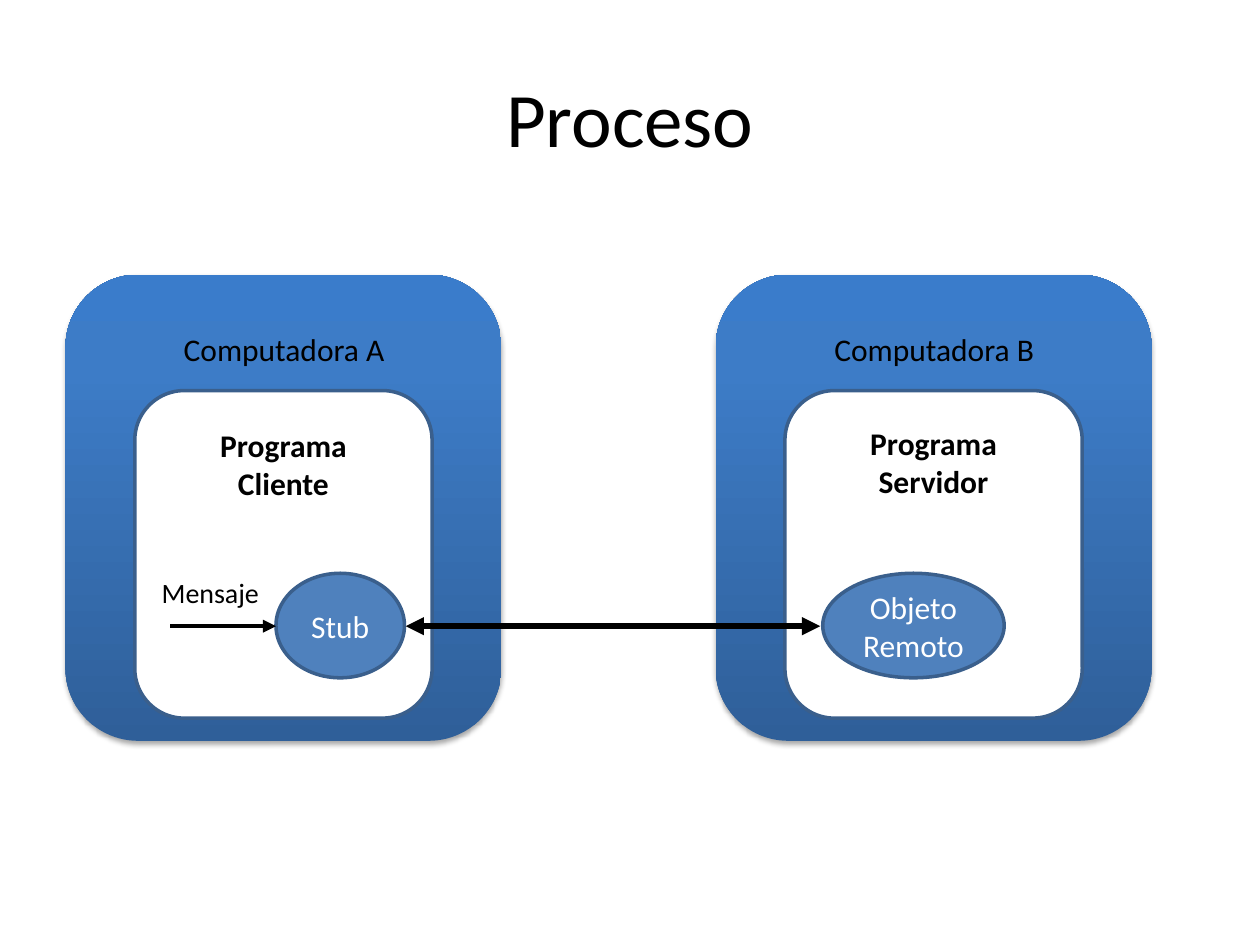
from pptx import Presentation
from pptx import util as u
from pptx.dml.color import RGBColor
from pptx.enum import shapes, text
from pptx.oxml import parse_xml
from pptx.oxml.ns import nsdecls, qn

FONT = "Calibri"
BLACK = RGBColor(0x00, 0x00, 0x00)
WHITE = RGBColor(0xFF, 0xFF, 0xFF)
BLUE = RGBColor(0x4F, 0x81, 0xBD)
OUTLINE = RGBColor(0x3A, 0x5F, 0x8C)
GRADIENT = [(0, RGBColor(0x2F, 0x5F, 0x99)),
            (80, RGBColor(0x3D, 0x7C, 0xC7)),
            (100, RGBColor(0x3A, 0x7C, 0xCB))]
COMPUTER_STEP = 5.16
ARROW_Y = 4.97


def format_paragraph(p, size, color, bold=False, align=text.PP_ALIGN.CENTER):
    """Set the font and alignment of a paragraph."""
    p.alignment = align
    p.font.name, p.font.size, p.font.bold = FONT, u.Pt(size), bold
    p.font.color.rgb = color


def add_paragraphs(tf, lines, color, bold=False):
    """Write centred 18 point lines into a text frame."""
    for i, line in enumerate(lines):
        p = tf.paragraphs[0] if i == 0 else tf.add_paragraph()
        p.text = line
        format_paragraph(p, 18, color, bold)


def add_box(s, kind, left, top, width, height):
    """Add a preset shape without a shadow."""
    sp = s.shapes.add_shape(kind, *map(u.Inches, (left, top, width, height)))
    sp.shadow.inherit = False
    return sp


def add_outlined(s, kind, at, fill):
    """Add a solid shape with the dark blue outline."""
    sp = add_box(s, kind, *at)
    sp.fill.solid()
    sp.fill.fore_color.rgb = fill
    sp.line.color.rgb = OUTLINE
    sp.line.width = u.Pt(2)
    return sp


def add_computer(s, left, label):
    """Add a gradient panel with a soft shadow and its label."""
    sp = add_box(s, shapes.MSO_SHAPE.ROUNDED_RECTANGLE, left, 2.18, 3.46, 3.7)
    sp.line.fill.background()
    sp.fill.gradient()
    sp.fill.gradient_angle = 90
    stops = sp._element.spPr.find(qn("a:gradFill")).find(qn("a:gsLst"))
    for stop in list(stops):
        stops.remove(stop)
    for position, color in GRADIENT:
        stops.append(parse_xml(
            f'<a:gs {nsdecls("a")} pos="{position * 1000}">'
            f'<a:srgbClr val="{color}"/></a:gs>'))
    sp._element.spPr.find(qn("a:effectLst")).append(parse_xml(
        f'<a:outerShdw {nsdecls("a")} blurRad="{u.Pt(3.1)}" dist="{u.Pt(1.8)}" '
        'dir="5400000" rotWithShape="0"><a:srgbClr val="000000">'
        '<a:alpha val="35000"/></a:srgbClr></a:outerShdw>'))

    box = s.shapes.add_textbox(*map(u.Inches, (left + 0.83, 2.57, 1.81, 0.4)))
    box.text_frame.word_wrap = False
    add_paragraphs(box.text_frame, [label], BLACK)


def add_program(s, left, lines, top_margin):
    """Add a white program box with a bold heading at its top."""
    sp = add_outlined(s, shapes.MSO_SHAPE.ROUNDED_RECTANGLE,
                      (left, 3.1, 2.36, 2.6), WHITE)
    tf = sp.text_frame
    tf.vertical_anchor = text.MSO_ANCHOR.TOP
    tf.margin_top = u.Inches(top_margin)
    add_paragraphs(tf, lines, BLACK, bold=True)
    return tf


def add_node(s, left, width, lines):
    """Add a blue ellipse with white text."""
    sp = add_outlined(s, shapes.MSO_SHAPE.OVAL, (left, 4.55, width, 0.83), BLUE)
    sp.text_frame.vertical_anchor = text.MSO_ANCHOR.MIDDLE
    add_paragraphs(sp.text_frame, lines, WHITE)


def add_arrow(s, start, end, width, ends):
    """Add a horizontal black arrow with heads at the named ends."""
    line = s.shapes.add_connector(
        shapes.MSO_CONNECTOR.STRAIGHT,
        *map(u.Inches, (start, ARROW_Y, end, ARROW_Y)))
    line.line.color.rgb = BLACK
    line.line.width = u.Pt(width)
    ln = line.line._get_or_add_ln()
    for end_name in ends:
        ln.append(parse_xml(f'<a:{end_name} {nsdecls("a")} type="triangle"/>'))
    line._element.spPr.append(parse_xml(f'<a:effectLst {nsdecls("a")}/>'))


def main():
    """Build the slide and save it."""
    prs = Presentation()
    prs.slide_width, prs.slide_height = u.Inches(10), u.Inches(7.5)
    s = prs.slides.add_slide(prs.slide_layouts[5])

    title = s.shapes.title
    title.left, title.top = u.Inches(0.5), u.Inches(0.3)
    title.width, title.height = u.Inches(9), u.Inches(1.25)
    title.text_frame.text = "Proceso"
    title.text_frame.vertical_anchor = text.MSO_ANCHOR.MIDDLE
    format_paragraph(title.text_frame.paragraphs[0], 44, BLACK)

    add_computer(s, 0.52, "Computadora A")
    client = add_program(s, 1.07, ["Programa", "Cliente"], 0.17)
    message = client.add_paragraph()
    message.text = "Mensaje"
    message.space_before = u.Pt(42)
    format_paragraph(message, 16, BLACK, align=text.PP_ALIGN.LEFT)
    add_node(s, 2.19, 1.02, ["Stub"])
    add_arrow(s, 1.35, 2.19, 2.5, ["tailEnd"])

    add_computer(s, 0.52 + COMPUTER_STEP, "Computadora B")
    add_program(s, 1.07 + COMPUTER_STEP, ["Programa", "Servidor"], 0.15)
    add_node(s, 6.53, 1.44, ["Objeto", "Remoto"])
    add_arrow(s, 3.22, 6.51, 3.5, ["headEnd", "tailEnd"])

    prs.save("out.pptx")


main()
